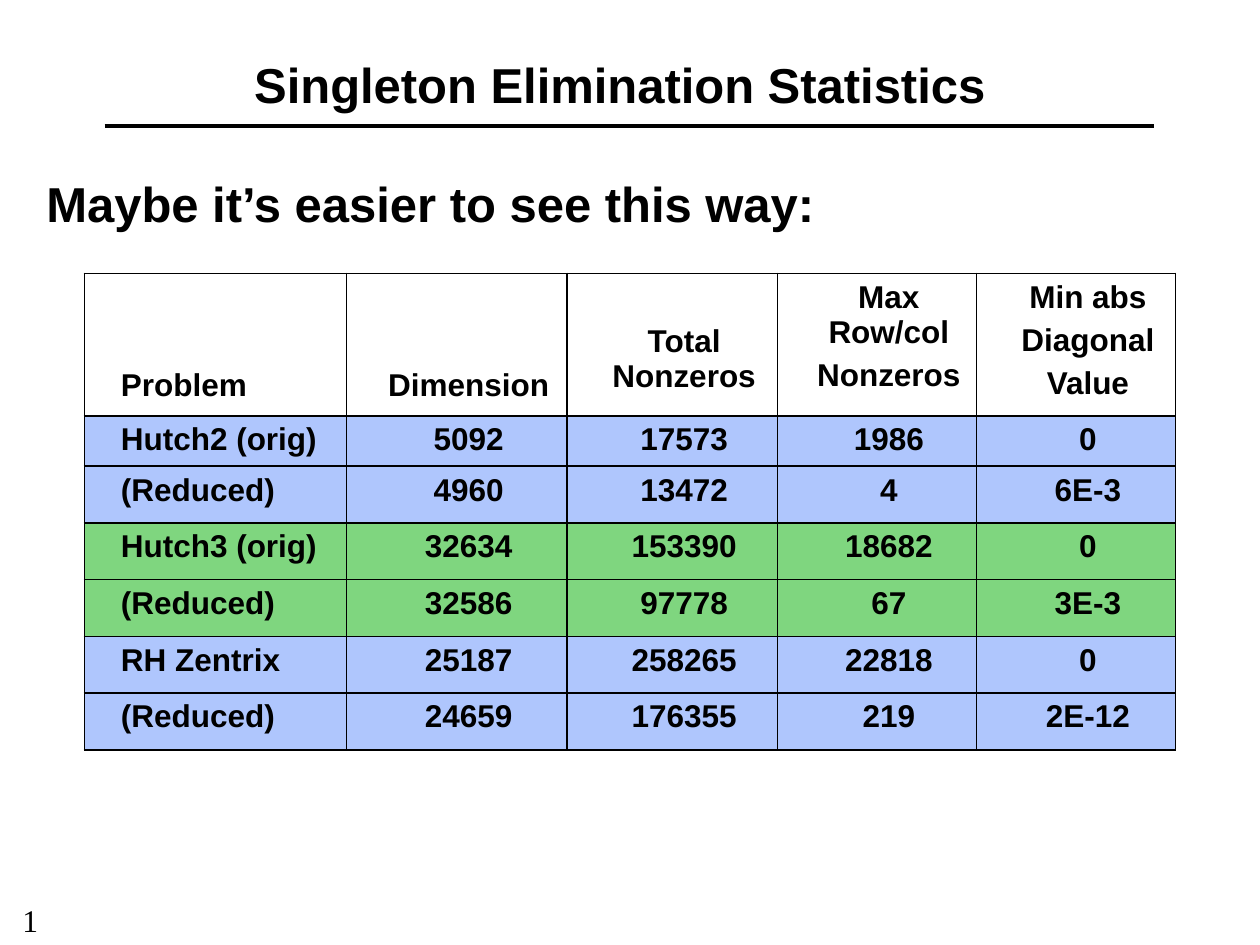
import pptx
import pptx.dml.color
import pptx.enum.shapes
import pptx.enum.text
import pptx.oxml.ns
import pptx.util
from lxml import etree

Inches = pptx.util.Inches
Pt = pptx.util.Pt
RGBColor = pptx.dml.color.RGBColor
PP_ALIGN = pptx.enum.text.PP_ALIGN
ANCHOR = pptx.enum.text.MSO_ANCHOR
qn = pptx.oxml.ns.qn

BLACK = RGBColor(0x00, 0x00, 0x00)
BLUE = RGBColor(0x61, 0x8F, 0xFD)
GREEN = RGBColor(0x00, 0xAE, 0x00)

COLUMN_WIDTHS = [2.08, 1.75, 1.67, 1.58, 1.58]
ROW_HEIGHTS = [1.13, 0.4] + [0.45] * 5
HEADER_LINES = 3
LINE_PITCH = 0.35
HEADINGS = [
    (["Problem"], 2),
    (["Dimension"], 2),
    (["Total Nonzeros"], 1),
    (["Max Row/col", "Nonzeros"], 0),
    (["Min abs", "Diagonal", "Value"], 0),
]
PROBLEMS = [
    ("Hutch2 (orig)", "5092", "17573", "1986", "0"),
    ("(Reduced)", "4960", "13472", "4", "6E-3"),
    ("Hutch3 (orig)", "32634", "153390", "18682", "0"),
    ("(Reduced)", "32586", "97778", "67", "3E-3"),
    ("RH Zentrix", "25187", "258265", "22818", "0"),
    ("(Reduced)", "24659", "176355", "219", "2E-12"),
]
PAIR_COLORS = [BLUE, GREEN, BLUE]


def write_lines(frame, lines, size, align=PP_ALIGN.CENTER, face="Arial", bold=True):
    for index, line in enumerate(lines):
        paragraph = frame.paragraphs[0] if index == 0 else frame.add_paragraph()
        paragraph.alignment = align
        if index:
            paragraph.space_before = Pt(4.5)
        run = paragraph.add_run()
        run.text = line
        run.font.name = face
        run.font.size = Pt(size)
        run.font.bold = bold
        run.font.color.rgb = BLACK


def add_label(slide, box, text, size, wrap=False, **style):
    frame = slide.shapes.add_textbox(*map(Inches, box)).text_frame
    frame.word_wrap = wrap
    write_lines(frame, [text], size, **style)
    return frame


def add_heading(slide, box):
    left, top, width, height = box
    title = add_label(slide, box, "Singleton Elimination Statistics", 28, wrap=True)
    title.vertical_anchor = ANCHOR.MIDDLE
    rule = slide.shapes.add_connector(
        pptx.enum.shapes.MSO_CONNECTOR.STRAIGHT,
        Inches(left + 0.16), Inches(top + 1),
        Inches(left + width - 0.01), Inches(top + 1),
    )
    rule.line.color.rgb = BLACK
    rule.line.width = Pt(2)
    etree.SubElement(rule._element.spPr, qn("a:effectLst"))


def add_borders(cell):
    properties = cell._tc.get_or_add_tcPr()
    for side in ("lnL", "lnR", "lnT", "lnB"):
        border = etree.SubElement(properties, qn(f"a:{side}"), w=str(Pt(1.08)))
        fill = etree.SubElement(border, qn("a:solidFill"))
        etree.SubElement(fill, qn("a:srgbClr"), val=str(BLACK))


def fill_cell(cell, color):
    if color is None:
        cell.fill.background()
        return
    cell.fill.solid()
    cell.fill.fore_color.rgb = color
    tint = cell._tc.tcPr.find(f"{qn('a:solidFill')}/{qn('a:srgbClr')}")
    etree.SubElement(tint, qn("a:alpha"), val="50000")


def write_cell(cell, lines, align, color=None, skipped_lines=0):
    cell.margin_left = Inches(0.29)
    cell.margin_right = Inches(0.1)
    cell.margin_top = Inches(0.05 + skipped_lines * LINE_PITCH)
    cell.margin_bottom = Inches(0.05)
    write_lines(cell.text_frame, lines, 18, align)
    add_borders(cell)
    fill_cell(cell, color)


def add_statistics(slide, box):
    table = slide.shapes.add_table(
        len(ROW_HEIGHTS), len(COLUMN_WIDTHS), *map(Inches, box)
    ).table
    table.first_row = False
    table.horz_banding = False
    for column, width in zip(table.columns, COLUMN_WIDTHS):
        column.width = Inches(width)
    for row, height in zip(table.rows, ROW_HEIGHTS):
        row.height = Inches(height)
    aligns = [PP_ALIGN.LEFT] + [PP_ALIGN.CENTER] * (len(COLUMN_WIDTHS) - 1)
    for column, (lines, skipped) in enumerate(HEADINGS):
        write_cell(table.cell(0, column), lines, aligns[column], skipped_lines=skipped)
    for index, values in enumerate(PROBLEMS):
        for column, value in enumerate(values):
            write_cell(table.cell(index + 1, column), [value], aligns[column],
                       PAIR_COLORS[index // 2])


def main():
    deck = pptx.Presentation()
    deck.slide_width = Inches(10)
    deck.slide_height = Inches(7.5)
    slide = deck.slides.add_slide(deck.slide_layouts[6])
    add_heading(slide, (0.67, 0, 8.5, 1.33))
    add_label(slide, (0.26, 1.33, 6.31, 0.57), "Maybe it’s easier to see this way:", 28)
    add_statistics(slide, (0.67, 2.17, sum(COLUMN_WIDTHS), sum(ROW_HEIGHTS)))
    add_label(slide, (-0.38, 7.1, 1.24, 0.4), "1", 18, face="Times New Roman", bold=False)
    deck.save("out.pptx")


if __name__ == "__main__":
    main()
